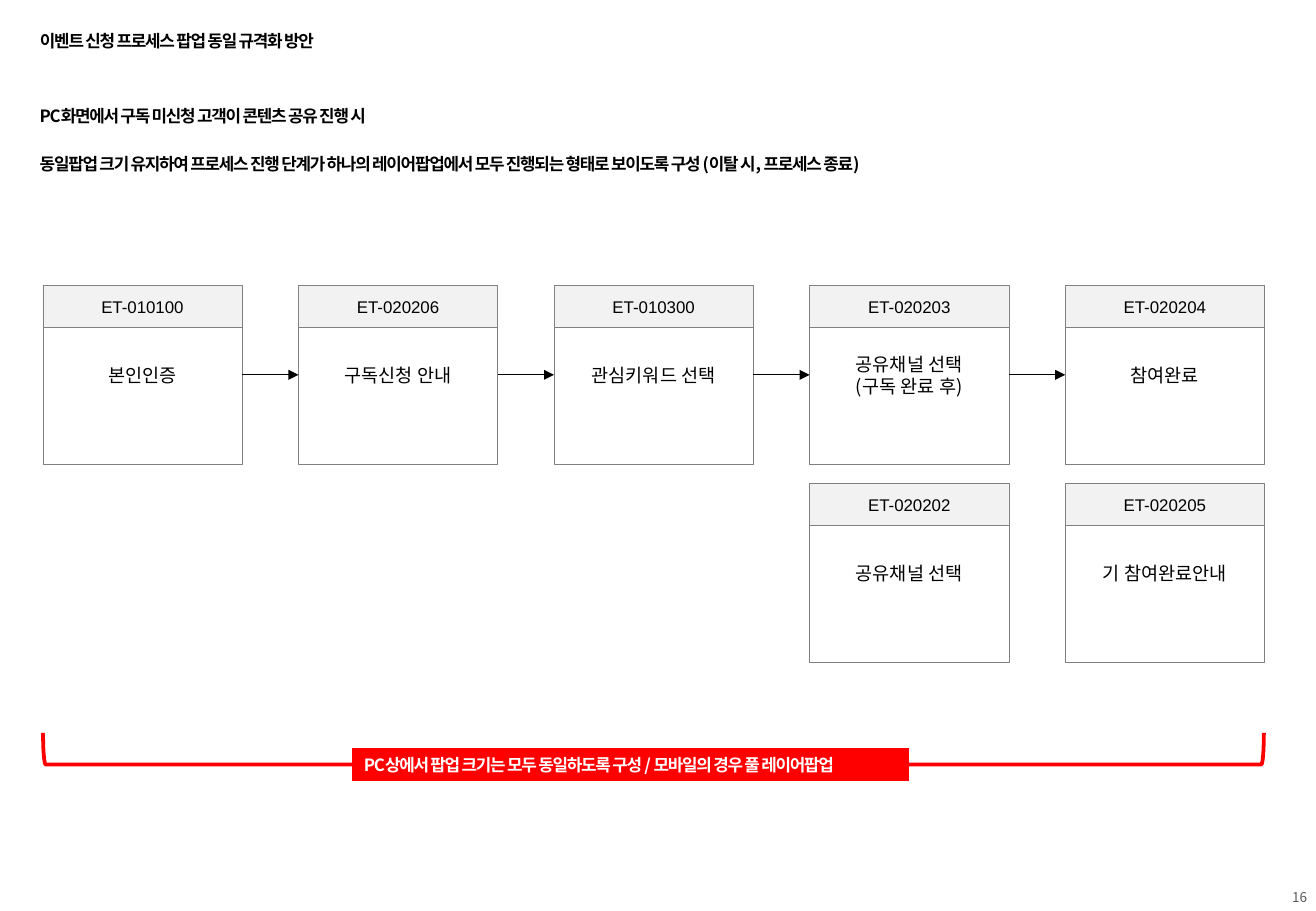
from lxml import etree
from pptx import Presentation
from pptx.dml.color import RGBColor
from pptx.enum.shapes import MSO_CONNECTOR, MSO_SHAPE
from pptx.enum.text import MSO_ANCHOR, MSO_AUTO_SIZE, PP_ALIGN
from pptx.oxml.ns import qn
from pptx.util import Pt

RECT, BRACKET = MSO_SHAPE.RECTANGLE, MSO_SHAPE.RIGHT_BRACKET
STRAIGHT = MSO_CONNECTOR.STRAIGHT
LEFT, CENTER, RIGHT = PP_ALIGN.LEFT, PP_ALIGN.CENTER, PP_ALIGN.RIGHT
SITE_LEFT, SITE_RIGHT = 1, 3

COLORS = {"black": "000000", "white": "FFFFFF", "border": "808080",
          "header": "F2F2F2", "red": "FF0000", "number": "595959"}
KOREAN, LATIN = "Noto Sans CJK KR", "Arial"

CARD_W, CARD_H, HEADER_H = 118, 106, 25
COL_STEP, ROW_STEP = 151.5, 117.4
# column, row, screen code, label
CARDS = [
    (0, 0, "ET-010100", "본인인증"),
    (1, 0, "ET-020206", "구독신청 안내"),
    (2, 0, "ET-010300", "관심키워드 선택"),
    (3, 0, "ET-020203", "공유채널 선택\n(구독 완료 후)"),
    (4, 0, "ET-020204", "참여완료"),
    (3, 1, "ET-020202", "공유채널 선택"),
    (4, 1, "ET-020205", "기 참여완료안내"),
]


def rgb(name):
    return RGBColor.from_string(COLORS[name])


def write(sp, text, size, color="black", font=KOREAN, align=CENTER,
          bold=False, spacing=0):
    """Fill a shape with middle-anchored text; spacing is in points."""
    tf = sp.text_frame
    tf.text = text
    tf.word_wrap = True
    tf.auto_size = MSO_AUTO_SIZE.NONE
    tf.vertical_anchor = MSO_ANCHOR.MIDDLE
    tf.margin_left = tf.margin_right = Pt(7.2)
    tf.margin_top = tf.margin_bottom = 0
    for p in tf.paragraphs:
        p.alignment = align
        for r in p.runs:
            r.font.name, r.font.size, r.font.bold = font, Pt(size), bold
            r.font.color.rgb = rgb(color)
            rPr = r.font._element
            etree.SubElement(rPr, qn("a:ea")).set("typeface", font)
            if spacing:
                rPr.set("spc", str(round(spacing * 100)))


def write_bold(sp, text, color="black"):
    write(sp, text, 10, color, align=LEFT, bold=True, spacing=-0.7)


def add_box(s, x, y, w, h, fill, line=None):
    sp = s.shapes.add_shape(RECT, Pt(x), Pt(y), Pt(w), Pt(h))
    sp.shadow.inherit = False
    sp.fill.solid()
    sp.fill.fore_color.rgb = rgb(fill)
    if line:
        sp.line.color.rgb = rgb(line)
        sp.line.width = Pt(0.25)
    else:
        sp.line.fill.background()
    return sp


def add_heading(s, x, y):
    title = s.shapes.title
    title.left, title.top, title.width, title.height = Pt(x), Pt(y), Pt(201), Pt(19.4)
    write_bold(title, "이벤트 신청 프로세스 팝업 동일 규격화 방안")
    notes = [
        (44.6, 233, "PC화면에서 구독 미신청 고객이 콘텐츠 공유 진행 시"),
        (72.7, 640, "동일팝업 크기 유지하여 프로세스 진행 단계가 하나의 레이어팝업에서 "
                    "모두 진행되는 형태로 보이도록 구성 (이탈 시, 프로세스 종료)"),
    ]
    for dy, w, text in notes:
        tb = s.shapes.add_textbox(Pt(x), Pt(y + dy), Pt(w), Pt(19.4))
        write_bold(tb, text)


def add_card(s, x, y, code, label):
    body = add_box(s, x, y, CARD_W, CARD_H, "white", "border")
    write(body, label, 11)
    header = add_box(s, x, y, CARD_W, HEADER_H, "header", "border")
    write(header, code, 10, font=LATIN)
    return body


def add_arrow(s, start, end):
    cx = s.shapes.add_connector(STRAIGHT, 0, 0, 0, 0)
    cx.begin_connect(start, SITE_RIGHT)
    cx.end_connect(end, SITE_LEFT)
    cx.line.color.rgb = rgb("black")
    cx.line.width = Pt(0.5)
    etree.SubElement(cx.line._get_or_add_ln(), qn("a:tailEnd")).set("type", "triangle")
    etree.SubElement(cx._element.spPr, qn("a:effectLst"))


def add_flow(s, x, y):
    bodies = [add_card(s, x + col * COL_STEP, y + row * ROW_STEP, code, label)
              for col, row, code, label in CARDS]
    main_row = [body for body, card in zip(bodies, CARDS) if card[1] == 0]
    for start, end in zip(main_row, main_row[1:]):
        add_arrow(s, start, end)


def add_summary(s, x, y, w, h):
    """Bracket open to the top over the given box, with a red caption on it."""
    sp = s.shapes.add_shape(BRACKET, Pt(x + (w - h) / 2), Pt(y - (w - h) / 2),
                            Pt(h), Pt(w))
    sp.rotation = 90
    sp.shadow.inherit = False
    sp.fill.background()
    sp.line.color.rgb = rgb("red")
    sp.line.width = Pt(2.25)
    caption = add_box(s, x + 183.2, y + 9, 330, 19.4, "red")
    write_bold(caption, "PC상에서 팝업 크기는 모두 동일하도록 구성 / 모바일의 경우 풀 레이어팝업",
               "white")


def add_page_number(s, x, y, w, h):
    tb = s.shapes.add_textbox(Pt(x), Pt(y), Pt(w), Pt(h))
    write(tb, "16", 8, "number", align=RIGHT)


def main():
    prs = Presentation()
    prs.slide_width, prs.slide_height = Pt(780), Pt(540)
    s = prs.slides.add_slide(prs.slide_layouts[5])
    add_heading(s, 16.5, 14.4)
    add_flow(s, 25.4, 169.2)
    add_summary(s, 25.5, 434.5, 723.6, 18.7)
    add_page_number(s, 727.2, 523.4, 54.7, 17.3)
    prs.save("out.pptx")


if __name__ == "__main__":
    main()
